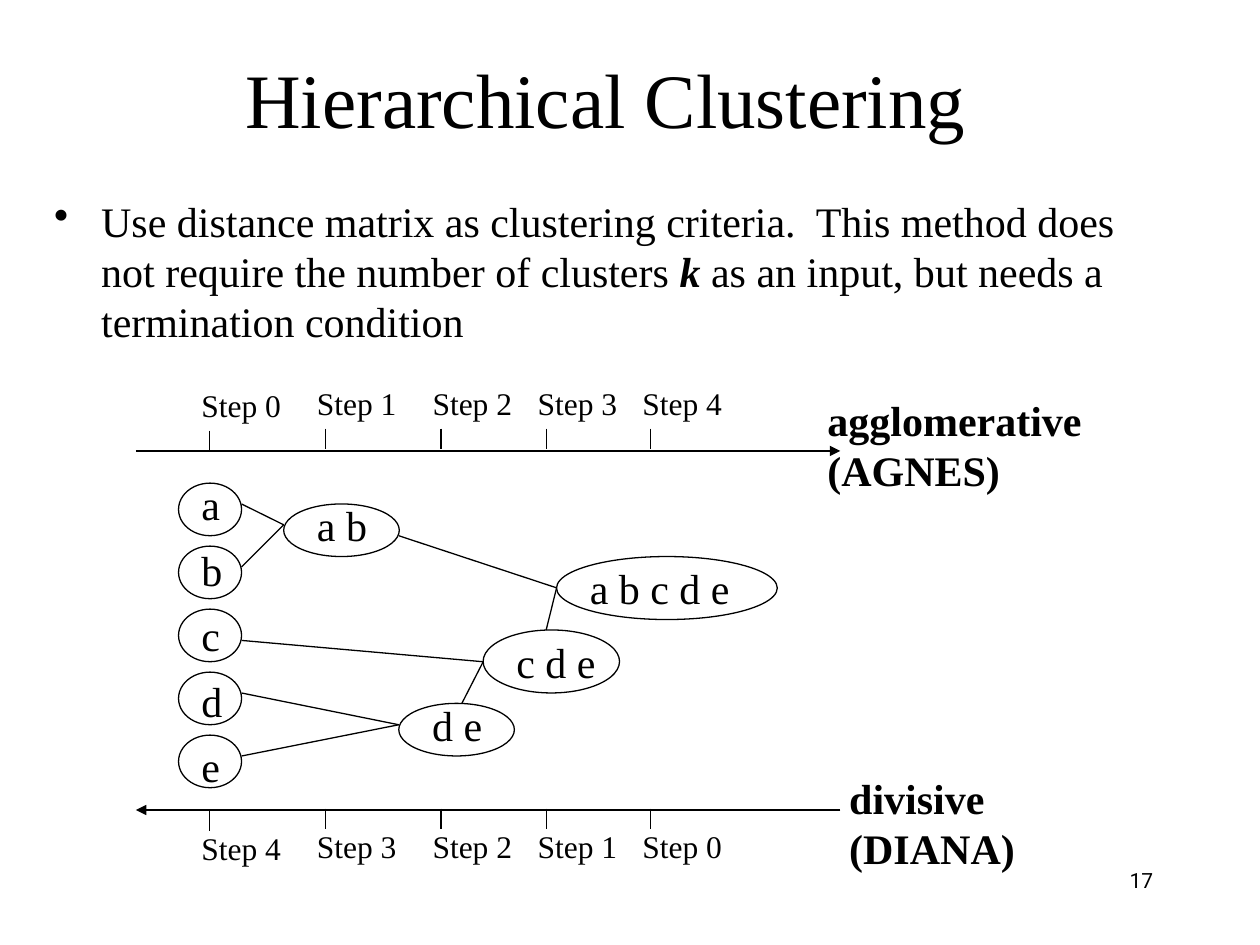
"""Build the hierarchical clustering slide with its AGNES and DIANA dendrogram."""
from dataclasses import dataclass

from lxml import etree
from pptx import Presentation
from pptx.dml.color import RGBColor
from pptx.enum.shapes import MSO_CONNECTOR, MSO_SHAPE
from pptx.enum.text import MSO_ANCHOR, MSO_AUTO_SIZE, PP_ALIGN
from pptx.oxml.ns import qn
from pptx.util import Cm, Pt

STRAIGHT = MSO_CONNECTOR.STRAIGHT
OVAL = MSO_SHAPE.OVAL
MIDDLE, TOP = MSO_ANCHOR.MIDDLE, MSO_ANCHOR.TOP
NO_AUTOSIZE = MSO_AUTO_SIZE.NONE
LEFT, CENTER, RIGHT = PP_ALIGN.LEFT, PP_ALIGN.CENTER, PP_ALIGN.RIGHT


@dataclass(frozen=True)
class Theme:
    ink: RGBColor = RGBColor(0, 0, 0)
    serif: str = "Times New Roman"
    sans: str = "Roboto"
    title: Pt = Pt(44)
    body: Pt = Pt(24)
    step: Pt = Pt(18)
    number: Pt = Pt(12)
    thin: Pt = Pt(0.75)
    thick: Pt = Pt(1.5)


T = Theme()

prs = Presentation()
prs.slide_width, prs.slide_height = Cm(25.4), Cm(19.05)
s = prs.slides.add_slide(prs.slide_layouts[6])


def add_text(box, paragraphs, size, font=T.serif, align=LEFT, anchor=TOP, wrap=True):
    tf = s.shapes.add_textbox(*map(Cm, box)).text_frame
    tf.word_wrap = wrap
    tf.auto_size = NO_AUTOSIZE
    tf.vertical_anchor = anchor
    for i, runs in enumerate(paragraphs):
        p = tf.paragraphs[0] if i == 0 else tf.add_paragraph()
        p.alignment = align
        for text, bold, italic in runs:
            r = p.add_run()
            r.text = text
            r.font.name, r.font.size = font, size
            r.font.bold, r.font.italic = bold, italic
            r.font.color.rgb = T.ink
    return tf


def add_line(x1, y1, x2, y2, width=T.thin, arrow=False):
    line = s.shapes.add_connector(STRAIGHT, Cm(x1), Cm(y1), Cm(x2), Cm(y2))
    line.line.color.rgb = T.ink
    line.line.width = width
    if arrow:
        etree.SubElement(line.line._get_or_add_ln(), qn("a:tailEnd"), type="triangle")
    etree.SubElement(line._element.spPr, qn("a:effectLst"))


add_text((2.08, 1.37, 20.27, 1.22), [[("Hierarchical Clustering", False, False)]],
         T.title, align=CENTER, anchor=MIDDLE)

criteria = [
    ("Use distance matrix as clustering criteria.  This method does not require "
     "the number of clusters ", False, False),
    ("k", True, True),
    (" as an input, but needs a termination condition", False, False),
]
tf = add_text((0.84, 3.81, 23.06, 3.38), [criteria], T.body)
pPr = tf.paragraphs[0]._p.get_or_add_pPr()
pPr.set("marL", str(Cm(0.95)))
pPr.set("indent", str(Cm(-0.95)))
etree.SubElement(pPr, qn("a:buChar"), char="•")

add_line(2.74, 9.09, 16.94, 9.09, T.thick, arrow=True)
add_line(16.94, 16.33, 2.74, 16.33, T.thick, arrow=True)
for i, x in enumerate((4.23, 6.56, 8.89, 11.01, 13.12)):
    drop = 0.04 if i == 0 else 0
    for step, tick_y, label_y in ((i, 8.64, 7.62), (4 - i, 16.3, 16.55)):
        add_line(x, tick_y + drop, x, tick_y + drop + 0.42)
        add_text((x - 0.42, label_y + drop, 2.12, 1.02),
                 [[(f"Step {step}", False, False)]], T.step)

clusters = [
    (name, (3.6, 9.74 + 1.27 * i, 1.27, 1.06),
     (3.81, 9.53 + 1.32 * i, 0.94 if name in "bd" else 0.89))
    for i, name in enumerate("abcde")
] + [
    ("a b", (5.72, 10.16, 2.33, 1.06), (6.14, 9.95, 1.52)),
    ("d e", (8.04, 14.18, 2.33, 1.06), (8.46, 13.97, 1.52)),
    ("c d e", (9.74, 12.7, 2.75, 1.27), (10.16, 12.7, 2.12)),
    ("a b c d e", (11.22, 11.22, 4.45, 1.27), (11.64, 11.22, 3.32)),
]
for name, oval_box, (x, y, w) in clusters:
    add_text((x, y, w, 1.27), [[(name, False, False)]], T.body, wrap=False)
    sp = s.shapes.add_shape(OVAL, *map(Cm, oval_box))
    sp.shadow.inherit = False
    sp.fill.background()
    sp.line.color.rgb = T.ink
    sp.line.width = T.thin

merges = {
    (5.72, 10.58): [(4.87, 10.16), (4.87, 11.43)],
    (8.04, 14.61): [(4.87, 13.97), (4.87, 15.24)],
    (9.74, 13.34): [(4.87, 12.91), (9.31, 14.18)],
    (11.22, 11.85): [(8.04, 10.8), (11.01, 12.7)],
}
for parent, children in merges.items():
    for child in children:
        add_line(*child, *parent)

for box, names in (
    ((16.43, 7.83, 5.64, 2.29), ("agglomerative", "(AGNES)")),
    ((16.87, 15.45, 3.86, 2.29), ("divisive", "(DIANA)")),
):
    add_text(box, [[(name, True, False)] for name in names], T.body, wrap=False)

add_text((18.21, 17.36, 5.29, 1.27), [[("17", False, False)]],
         T.number, font=T.sans, align=RIGHT)

prs.save("out.pptx")
